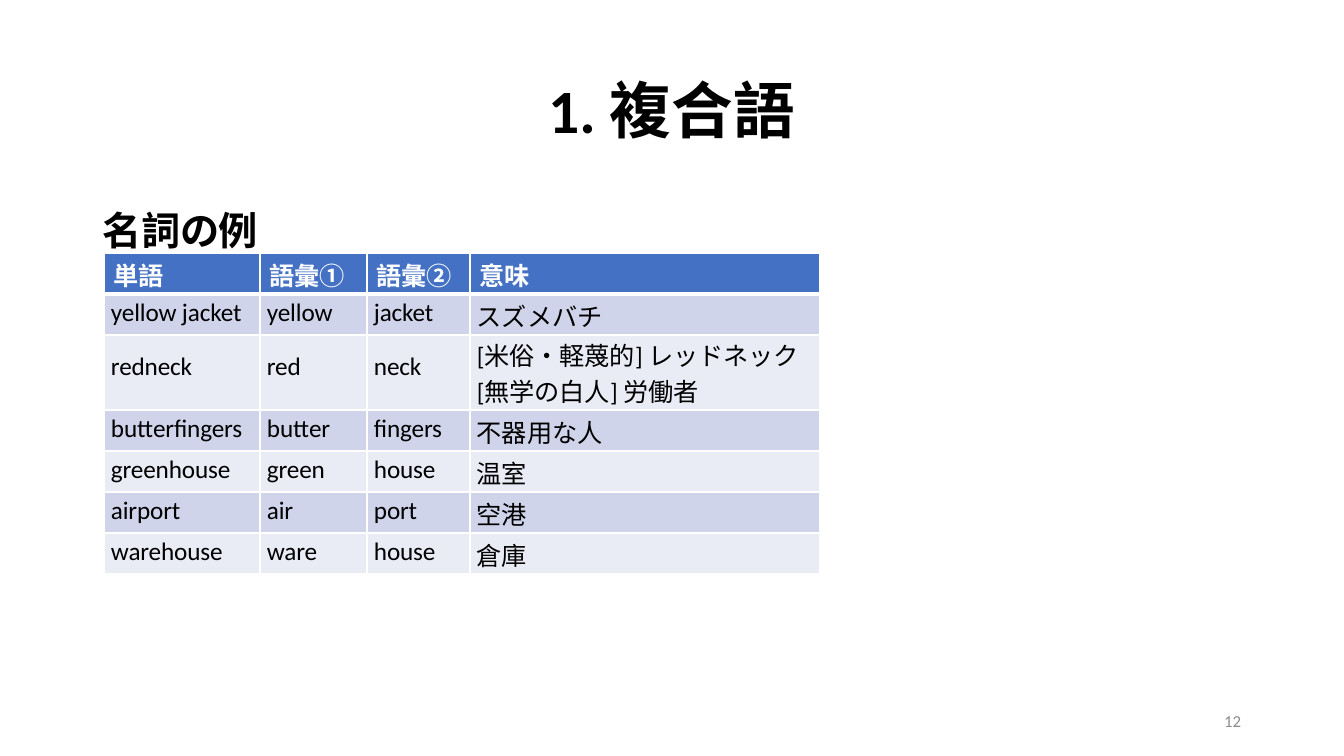
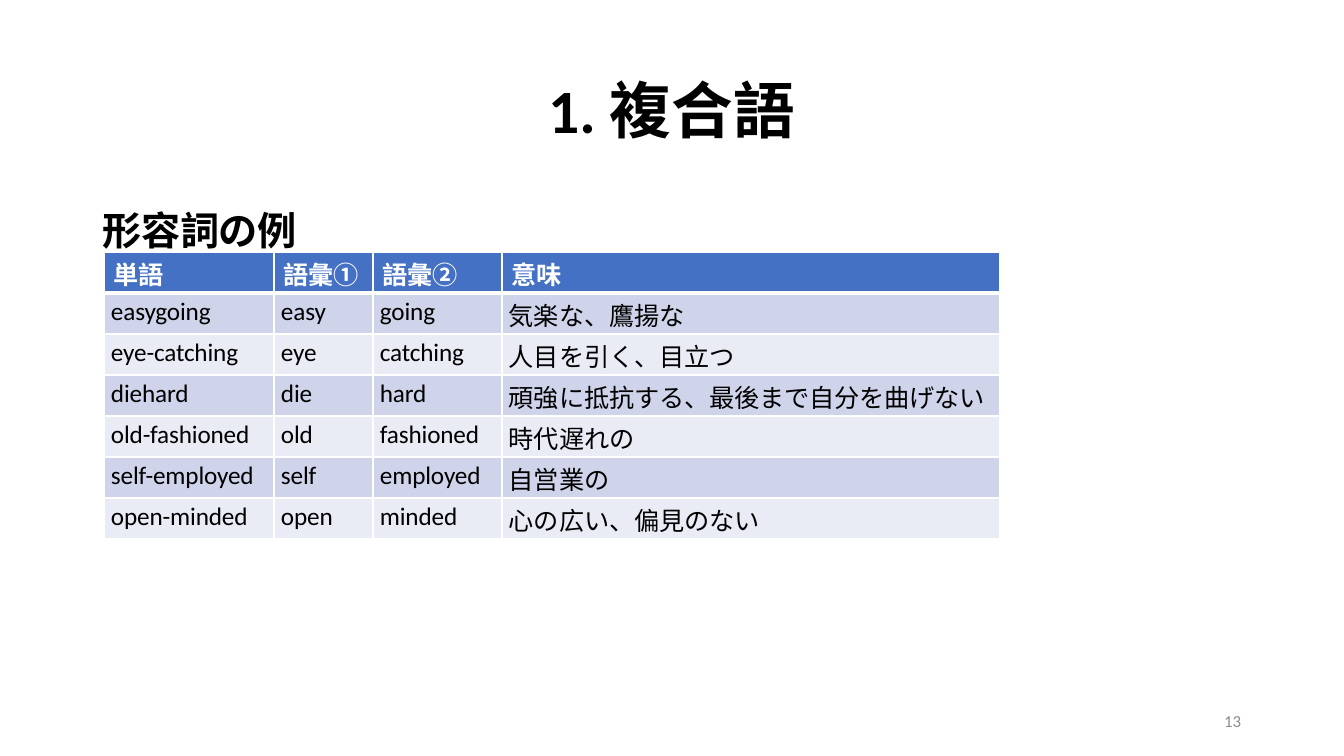
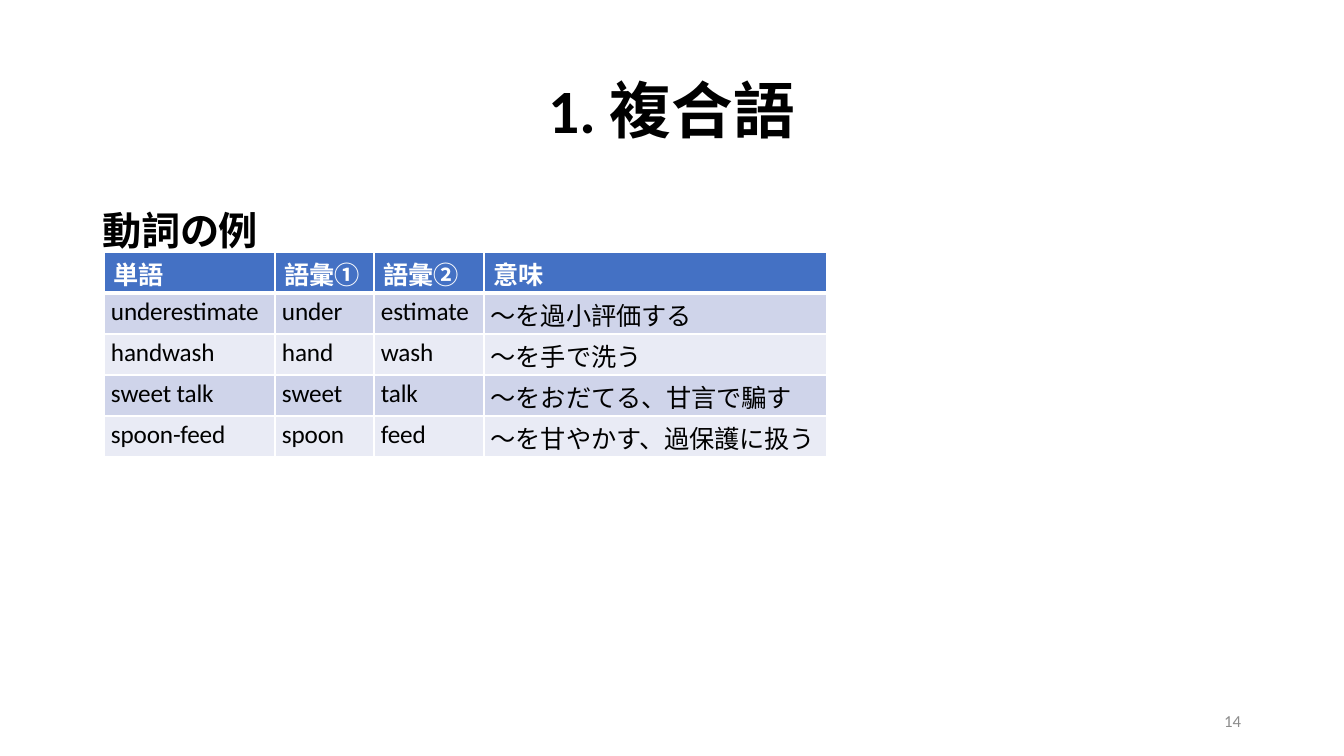
from itertools import groupby

from pptx import Presentation
from pptx import util as u
from pptx.dml.color import RGBColor
from pptx.enum import text as t
from pptx.oxml import parse_xml
from pptx.oxml.ns import nsdecls

PX_PER_INCH = 100.8
COLORS = {
    "text": "000000",
    "number": "8C8C8C",
    "header": "4471C4",
    "header_text": "FFFFFF",
    "odd_row": "CFD4EA",
    "even_row": "E9EBF5",
    "border": "FFFFFF",
}
LATIN_FONT = "Calibri"
JAPANESE_FONT = "Noto Sans CJK JP"

SLIDE_SIZE = (1344, 756)
TITLE_BOX = (92, 41, 1159, 146)
BODY_BOX = (92, 202, 1159, 480)
NUMBER_BOX = (949, 701, 302, 40)
TABLE_LEFT = 104
ROW_HEIGHT, TALL_ROW_HEIGHT = 41, 75

TITLE = "1. 複合語"
HEADER = ("単語", "語彙①", "語彙②", "意味")
FIRST_NUMBER = 12
SECTIONS = [
    {
        "heading": "名詞の例",
        "table_top": 253,
        "columns": (156, 107, 103, 350),
        "rows": [
            ("yellow jacket", "yellow", "jacket", "スズメバチ"),
            ("redneck", "red", "neck",
             "[米俗・軽蔑的] レッドネック\n[無学の白人] 労働者"),
            ("butterfingers", "butter", "fingers", "不器用な人"),
            ("greenhouse", "green", "house", "温室"),
            ("airport", "air", "port", "空港"),
            ("warehouse", "ware", "house", "倉庫"),
        ],
    },
    {
        "heading": "形容詞の例",
        "table_top": 252,
        "columns": (170, 99, 129, 498),
        "rows": [
            ("easygoing", "easy", "going", "気楽な、鷹揚な"),
            ("eye-catching", "eye", "catching", "人目を引く、目立つ"),
            ("diehard", "die", "hard", "頑強に抵抗する、最後まで自分を曲げない"),
            ("old-fashioned", "old", "fashioned", "時代遅れの"),
            ("self-employed", "self", "employed", "自営業の"),
            ("open-minded", "open", "minded", "心の広い、偏見のない"),
        ],
    },
    {
        "heading": "動詞の例",
        "table_top": 252,
        "columns": (171, 99, 110, 343),
        "rows": [
            ("underestimate", "under", "estimate", "～を過小評価する"),
            ("handwash", "hand", "wash", "～を手で洗う"),
            ("sweet talk", "sweet", "talk", "～をおだてる、甘言で騙す"),
            ("spoon-feed", "spoon", "feed", "～を甘やかす、過保護に扱う"),
        ],
    },
]


def px(length):
    return u.Emu(round(length * 914400 / PX_PER_INCH))


def write_text(frame, content, size, color="text", bold=False, tracking=0,
               align=t.PP_ALIGN.LEFT, line_spacing=None):
    """Fill a text frame, one paragraph per line, choosing the font by script."""
    for index, line in enumerate(content.split("\n")):
        paragraph = frame.add_paragraph() if index else frame.paragraphs[0]
        paragraph.alignment = align
        if line_spacing:
            paragraph.line_spacing = line_spacing
        for is_latin, characters in groupby(line, key=str.isascii):
            run = paragraph.add_run()
            run.text = "".join(characters)
            font = run.font
            font.size, font.bold = u.Pt(size), bold
            font.color.rgb = RGBColor.from_string(COLORS[color])
            font.name = LATIN_FONT if is_latin else JAPANESE_FONT
            properties = run._r.get_or_add_rPr()
            properties.append(parse_xml(
                f'<a:ea {nsdecls("a")} typeface="{JAPANESE_FONT}"/>'))
            if tracking:
                properties.set("spc", str(round(tracking * 100)))


def add_text_box(slide, box, content, anchor=t.MSO_ANCHOR.MIDDLE, top=5, left=10,
                 **text_format):
    frame = slide.shapes.add_textbox(*map(px, box)).text_frame
    frame.word_wrap = True
    frame.vertical_anchor = anchor
    frame.margin_top, frame.margin_left = px(top), px(left)
    write_text(frame, content, **text_format)


def set_borders(cell, top=1, bottom=1):
    properties = cell._tc.get_or_add_tcPr()
    for side, width in (("L", 1), ("R", 1), ("T", top), ("B", bottom)):
        properties.append(parse_xml(
            f'<a:ln{side} {nsdecls("a")} w="{u.Pt(width)}"><a:solidFill>'
            f'<a:srgbClr val="{COLORS["border"]}"/></a:solidFill></a:ln{side}>'))


def fill_cell(cell, content, fill, left, top, **text_format):
    cell.fill.solid()
    cell.fill.fore_color.rgb = RGBColor.from_string(COLORS[fill])
    cell.margin_left, cell.margin_top = px(left), px(top)
    cell.margin_right = cell.margin_bottom = 0
    write_text(cell.text_frame, content, size=18, **text_format)


def add_word_table(slide, left, top, columns, rows):
    heights = [ROW_HEIGHT] + [
        TALL_ROW_HEIGHT if "\n" in row[-1] else ROW_HEIGHT for row in rows]
    table = slide.shapes.add_table(
        len(heights), len(columns), px(left), px(top),
        px(sum(columns)), px(sum(heights))).table
    for column, width in zip(table.columns, columns):
        column.width = px(width)
    for row, height in zip(table.rows, heights):
        row.height = px(height)

    for cell, label in zip(table.rows[0].cells, HEADER):
        set_borders(cell, bottom=3)
        fill_cell(cell, label, "header", left=10, top=3,
                  color="header_text", bold=True, tracking=-0.2)
    for index, words in enumerate(rows, start=1):
        is_tall = heights[index] == TALL_ROW_HEIGHT
        word_top, meaning_top = (17, 1) if is_tall else (4, 3)
        for column, word in enumerate(words):
            cell = table.cell(index, column)
            set_borders(cell, top=3 if index == 1 else 1)
            fill_cell(cell, word, "odd_row" if index % 2 else "even_row", left=7,
                      top=meaning_top if column == len(words) - 1 else word_top,
                      tracking=-0.1)


def add_section_slide(presentation, number, heading, table_top, columns, rows):
    slide = presentation.slides.add_slide(presentation.slide_layouts[6])
    add_text_box(slide, TITLE_BOX, TITLE, size=44, bold=True,
                 align=t.PP_ALIGN.CENTER, line_spacing=0.9)
    add_text_box(slide, NUMBER_BOX, str(number), size=12, color="number",
                 align=t.PP_ALIGN.RIGHT)
    add_text_box(slide, BODY_BOX, heading, anchor=t.MSO_ANCHOR.TOP, top=4, left=11,
                 size=28, bold=True, tracking=-0.4)
    add_word_table(slide, TABLE_LEFT, table_top, columns, rows)


def main():
    presentation = Presentation()
    presentation.slide_width, presentation.slide_height = map(px, SLIDE_SIZE)
    for number, section in enumerate(SECTIONS, start=FIRST_NUMBER):
        add_section_slide(presentation, number, **section)
    presentation.save("out.pptx")


if __name__ == "__main__":
    main()
